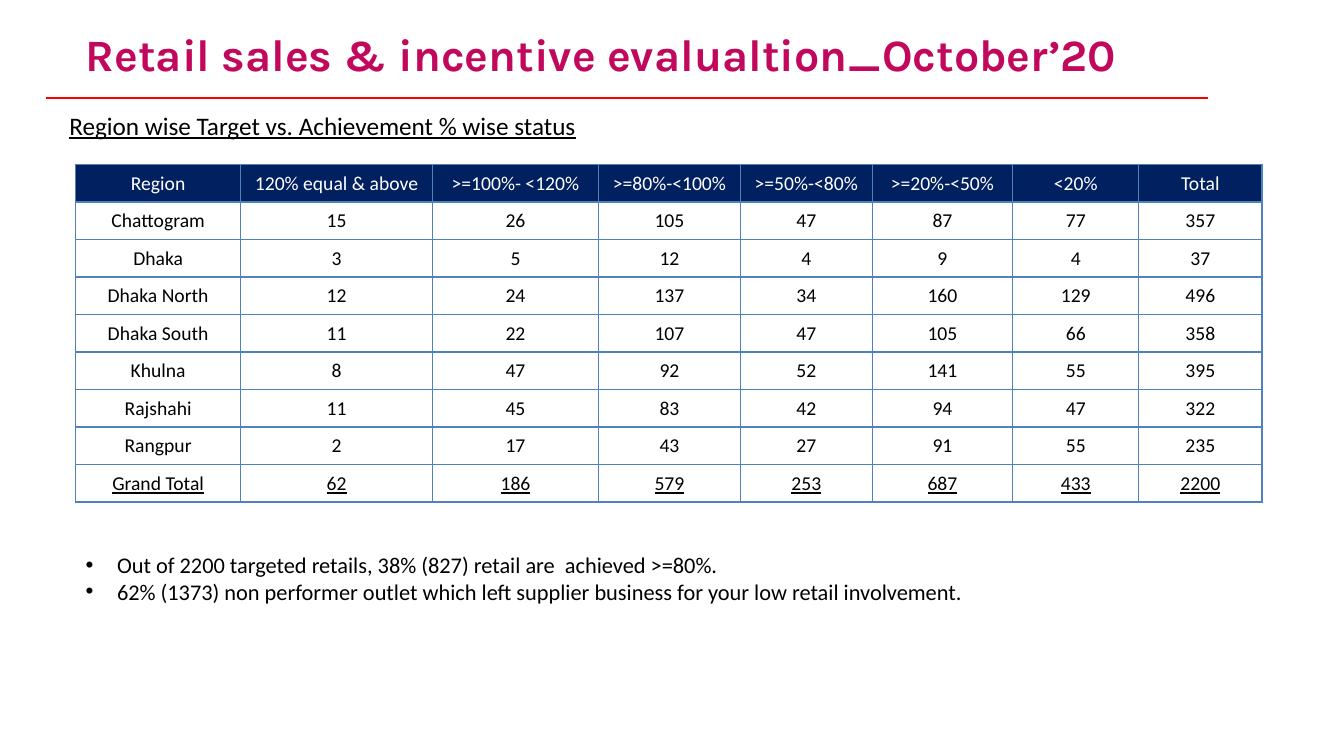
from lxml.etree import SubElement as Sub
from pptx import Presentation
from pptx.dml.color import RGBColor
from pptx.enum.shapes import MSO_CONNECTOR as Link
from pptx.enum.text import MSO_ANCHOR as Anchor, MSO_AUTO_SIZE as Fit, PP_ALIGN as Align
from pptx.oxml.ns import qn
from pptx.util import Pt

HEADS = ["Region", "120% equal & above", ">=100%- <120%", ">=80%-<100%",
         ">=50%-<80%", ">=20%-<50%", "<20%", "Total"]
SALES = [
    ["Chattogram", 15, 26, 105, 47, 87, 77, 357],
    ["Dhaka", 3, 5, 12, 4, 9, 4, 37],
    ["Dhaka North", 12, 24, 137, 34, 160, 129, 496],
    ["Dhaka South", 11, 22, 107, 47, 105, 66, 358],
    ["Khulna", 8, 47, 92, 52, 141, 55, 395],
    ["Rajshahi", 11, 45, 83, 42, 94, 47, 322],
    ["Rangpur", 2, 17, 43, 27, 91, 55, 235],
    ["Grand Total", 62, 186, 579, 253, 687, 433, 2200],
]
WIDTHS = [118, 137, 118.5, 101.5, 94, 100.5, 90, 88]
NOTES = [
    "Out of 2200 targeted retails, 38% (827) retail are  achieved >=80%.",
    "62% (1373) non performer outlet which left supplier business for your low retail involvement.",
]


def color(code):
    return RGBColor.from_string(code)


def style(para, size, code, face="Calibri", bold=False, under=False):
    font = para.font
    font.name, font.size, font.bold = face, Pt(size), bold
    font.color.rgb = color(code)
    if under:
        font.underline = True


def add_title(slide, x, y, w, h):
    title = slide.shapes.title
    title.left, title.top, title.width, title.height = Pt(x), Pt(y), Pt(w), Pt(h)
    frame = title.text_frame
    frame.text = "Retail sales & incentive evalualtion_October’20"
    frame.auto_size = Fit.NONE
    frame.vertical_anchor = Anchor.BOTTOM
    para = frame.paragraphs[0]
    para.alignment = Align.LEFT
    para.line_spacing = 0.9
    style(para, 32, "C2085C", "Karla", bold=True)


def add_rule(slide, x, y, w):
    rule = slide.shapes.add_connector(Link.STRAIGHT, Pt(x + w), Pt(y), Pt(x), Pt(y))
    rule.line.color.rgb = color("FF0000")
    rule.line.width = Pt(1.5)
    Sub(rule.line._get_or_add_ln().getparent(), qn("a:effectLst"))


def add_heading(slide, x, y, w, h):
    box = slide.shapes.add_textbox(Pt(x), Pt(y), Pt(w), Pt(h))
    frame = box.text_frame
    frame.word_wrap = False
    frame.text = "Region wise Target vs. Achievement % wise status"
    style(frame.paragraphs[0], 18, "000000", under=True)


def add_edges(cell, code):
    props = cell._tc.get_or_add_tcPr()
    for side in ("lnL", "lnR", "lnT", "lnB"):
        edge = Sub(props, qn("a:" + side), w=str(Pt(1)))
        Sub(Sub(edge, qn("a:solidFill")), qn("a:srgbClr"), val=code)


def add_sales(slide, x, y, w, h):
    rows = [HEADS] + SALES
    table = slide.shapes.add_table(len(rows), len(HEADS), Pt(x), Pt(y), Pt(w), Pt(h)).table
    table.horz_banding = False
    for col, width in zip(table.columns, WIDTHS):
        col.width = Pt(width * w / sum(WIDTHS))
    for r, row in enumerate(rows):
        table.rows[r].height = Pt(h / len(rows))
        for c, value in enumerate(row):
            cell = table.cell(r, c)
            add_edges(cell, "4F81BD")
            cell.text = str(value)
            cell.vertical_anchor = Anchor.MIDDLE
            cell.margin_left = cell.margin_right = cell.margin_top = Pt(0.7)
            cell.margin_bottom = Pt(0)
            if r == 0:
                cell.fill.solid()
                cell.fill.fore_color.rgb = color("002060")
            else:
                cell.fill.background()
            para = cell.text_frame.paragraphs[0]
            para.alignment = Align.CENTER
            style(para, 14, "000000" if r else "FFFFFF", under=row is SALES[-1])


def add_notes(slide, x, y, w, h):
    box = slide.shapes.add_textbox(Pt(x), Pt(y), Pt(w), Pt(h))
    frame = box.text_frame
    frame.word_wrap = True
    frame.text = "\n".join(NOTES)
    for para in frame.paragraphs:
        props = para._p.get_or_add_pPr()
        props.set("marL", str(Pt(22.5)))
        props.set("indent", str(-Pt(22.5)))
        Sub(props, qn("a:buFont"), typeface="Arial")
        Sub(props, qn("a:buChar"), char="•")
        style(para, 16, "000000")


def main():
    deck = Presentation()
    deck.slide_width, deck.slide_height = Pt(960), Pt(540)
    slide = deck.slides.add_slide(deck.slide_layouts[5])
    add_rule(slide, 33, 70, 830)
    add_title(slide, 54, 9.5, 828, 52)
    add_sales(slide, 54, 117.5, 847.5, 241.2)
    add_heading(slide, 42.5, 75, 377, 29)
    add_notes(slide, 54, 390, 849, 46)
    deck.save("out.pptx")


if __name__ == "__main__":
    main()
